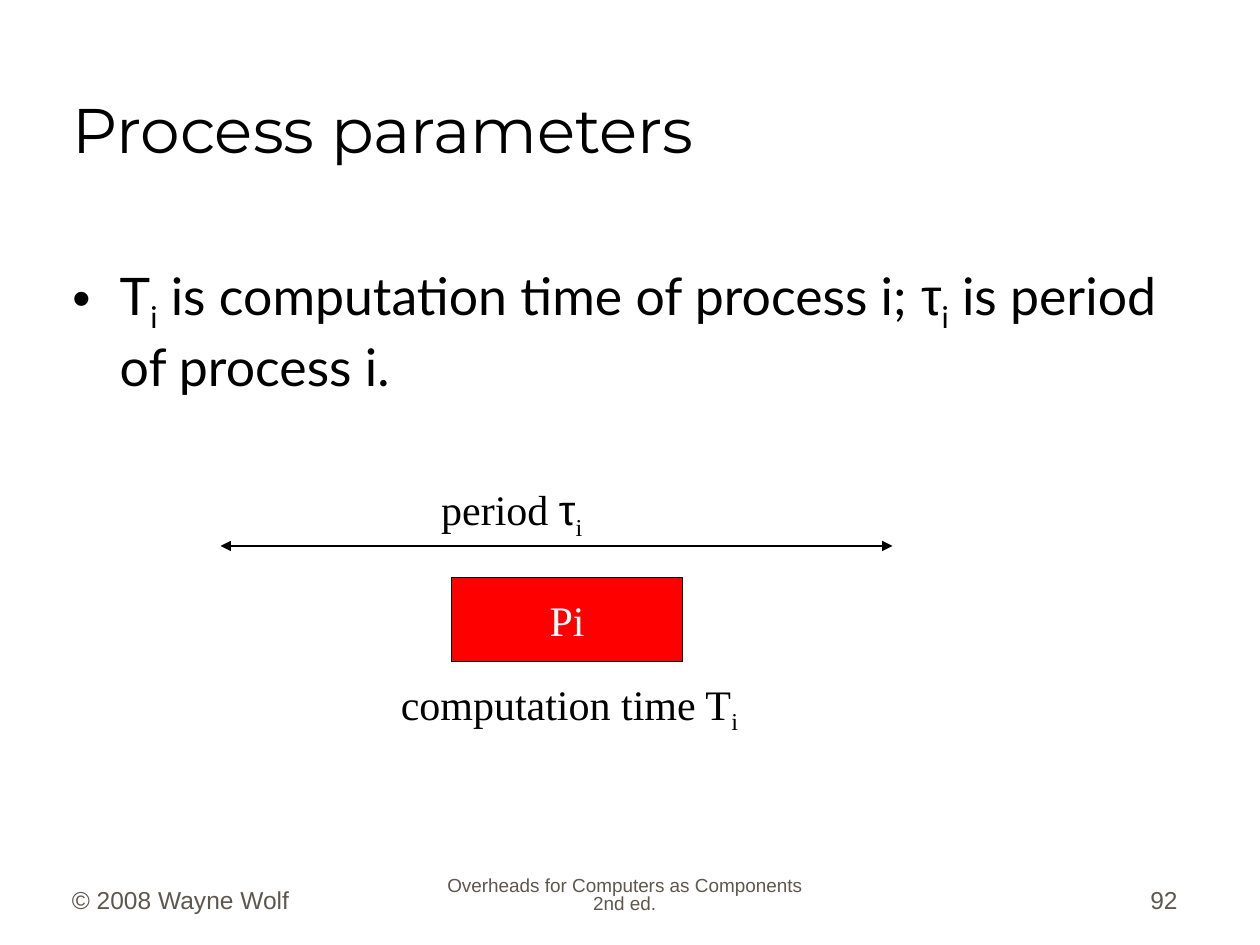
from lxml.etree import SubElement
from pptx import Presentation
from pptx.dml.color import RGBColor
from pptx.enum.shapes import MSO_CONNECTOR, MSO_SHAPE
from pptx.enum.text import MSO_ANCHOR as Anchor, PP_ALIGN as Align
from pptx.oxml.ns import qn
from pptx.util import Pt

BLACK = RGBColor(0, 0, 0)
WHITE = RGBColor(255, 255, 255)
RED = RGBColor(255, 0, 0)
BROWN = RGBColor(0x5E, 0x57, 0x4E)
SERIF = "Times New Roman"
SUB = {"baseline": "-25000"}
TAU = {"font": "Arial"}


def write(shape, *spans, size, font, color=BLACK, align=Align.LEFT, anchor=Anchor.TOP,
          wrap=True, insets=(7.2, 3.6), before=0, spacing=1.0):
    """Fill a shape with one paragraph; a span is text or (text, overrides)."""
    frame = shape.text_frame
    frame.word_wrap = wrap
    frame.vertical_anchor = anchor
    frame.margin_left = frame.margin_right = Pt(insets[0])
    frame.margin_top = frame.margin_bottom = Pt(insets[1])
    para = frame.paragraphs[0]
    para.alignment = align
    para.space_before = Pt(before)
    para.line_spacing = spacing
    for span in spans:
        text, changes = (span, {}) if isinstance(span, str) else span
        run = para.add_run()
        run.text = text
        run.font.size = Pt(size)
        run.font.name = changes.get("font", font)
        run.font.color.rgb = color
        if "baseline" in changes:
            run.font._element.set("baseline", changes["baseline"])
    return para


def text_box(page, left, top, width, height, *spans, **style):
    box = page.shapes.add_textbox(Pt(left), Pt(top), Pt(width), Pt(height))
    return write(box, *spans, **style)


def add_bullet(para, indent):
    props = para._p.get_or_add_pPr()
    props.set("marL", str(Pt(indent)))
    props.set("indent", str(-Pt(indent)))
    SubElement(props, qn("a:buFont"), typeface="Arial")
    SubElement(props, qn("a:buChar"), char="•")


def add_heading(page, left, top, width, height):
    text_box(page, left, top, width, height, "Process parameters", size=36,
             font="Montserrat", anchor=Anchor.BOTTOM, insets=(5.4, 1))


def add_body(page, left, top, width, height):
    para = text_box(page, left, top, width, height,
                    "T", ("i", SUB), " is computation time of process i; ",
                    ("τ", TAU), ("i", SUB), " is period of process i.",
                    size=29.6, font="Lato", before=8, insets=(5.4, 2.7))
    add_bullet(para, 27)


def add_double_arrow(page, left, right, y):
    arrow = page.shapes.add_connector(MSO_CONNECTOR.STRAIGHT, Pt(left), Pt(y), Pt(right), Pt(y))
    arrow.line.color.rgb = BLACK
    arrow.line.width = Pt(0.75)
    line = arrow.line._get_or_add_ln()
    for end in ("a:headEnd", "a:tailEnd"):
        SubElement(line, qn(end), type="triangle")
    SubElement(arrow._element.spPr, qn("a:effectLst"))


def add_timing_diagram(page, left, top, width):
    label = {"size": 24, "font": SERIF, "wrap": False}
    add_double_arrow(page, left, left + width, top + 39)
    text_box(page, left + 119, top, 96, 40, "period ", ("τ", TAU), ("i", SUB), **label)
    process = page.shapes.add_shape(MSO_SHAPE.RECTANGLE, Pt(left + 132), Pt(top + 57),
                                    Pt(132), Pt(48))
    process.shadow.inherit = False
    process.fill.solid()
    process.fill.fore_color.rgb = RED
    process.line.color.rgb = BLACK
    process.line.width = Pt(0.75)
    write(process, "Pi", color=WHITE, align=Align.CENTER, anchor=Anchor.MIDDLE, **label)
    text_box(page, left + 90, top + 111, 213, 40, " computation time T", ("i", SUB), **label)


def add_footer(page, left, top, width, height):
    style = {"font": "Arial", "color": BROWN, "anchor": Anchor.BOTTOM, "before": 8.8}
    side, middle = 150, 228
    text_box(page, left, top, side, height, "© 2008 Wayne Wolf", size=14, **style)
    text_box(page, left + (width - middle) / 2, top, middle, height,
             "Overheads for Computers as Components 2nd ed.",
             size=10.8, align=Align.CENTER, spacing=0.8, **style)
    text_box(page, left + width - side, top, side, height, "92",
             size=14, align=Align.RIGHT, **style)


def main():
    deck = Presentation()
    deck.slide_width, deck.slide_height = Pt(720), Pt(540)
    page = deck.slides.add_slide(deck.slide_layouts[6])
    add_heading(page, 36, 18, 642, 78)
    add_body(page, 36, 148, 644, 86)
    add_timing_diagram(page, 126, 273, 384)
    add_footer(page, 34, 490, 646, 36)
    deck.save("out.pptx")


if __name__ == "__main__":
    main()
